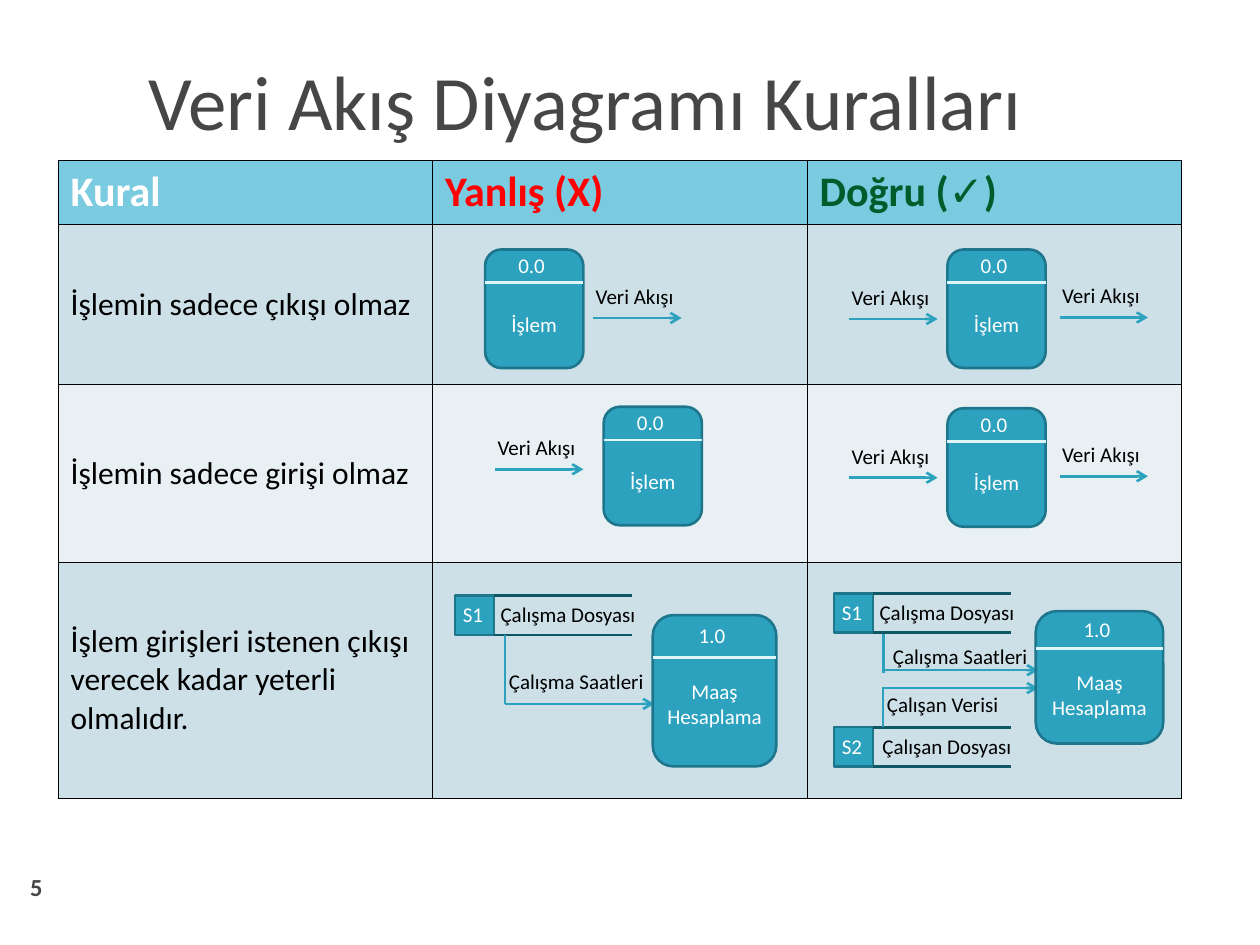
from pptx import Presentation
from pptx.dml.color import RGBColor as RGB
from pptx.enum.shapes import MSO_CONNECTOR as Conn, MSO_SHAPE as Kind
from pptx.enum.text import MSO_ANCHOR as Anchor, MSO_AUTO_SIZE as Auto, PP_ALIGN as Align
from pptx.util import Cm, Pt
from lxml.etree import SubElement as Sub
from pptx.oxml.ns import qn

# Content
TITLE, NUMBER = "Veri Akış Diyagramı Kuralları", "5"
HEADS = [
    ("white", [("Kural", "Calibri")]),
    ("red", [("Yanlış (X)", "Calibri")]),
    ("green", [("Doğru (", "Calibri"), ("✓", "Arial"), (")", "Calibri")]),
]
RULES = [
    "İşlemin sadece çıkışı olmaz",
    "İşlemin sadece girişi olmaz",
    "İşlem girişleri istenen çıkışı verecek kadar yeterli olmalıdır.",
]
FLOW, NEAR = "Veri Akışı", (-0.2, -0.82)
# Flows: left, top, length, label, label offset, label width
FLOWS = [
    (11.96, 6.41, 1.78, FLOW, NEAR, 2.08),
    (21.36, 6.4, 1.78, FLOW, NEAR, 2.08),
    (17.12, 6.43, 1.78, FLOW, NEAR, 2.08),
    (9.98, 9.46, 1.78, FLOW, NEAR, 2.08),
    (21.36, 9.6, 1.78, FLOW, NEAR, 2.08),
    (17.12, 9.63, 1.78, FLOW, NEAR, 2.08),
    (10.19, 14.19, 3, "Çalışma Saatleri", (-0.18, -0.83), 3.23),
    (17.81, 13.51, 3.12, "Çalışma Saatleri", (-0.06, -0.66), 3.23),
    (17.81, 13.87, 3.12, "Çalışan Verisi", (-0.18, -0.05), 2.77),
]
# Stores: left, top, code, name
STORES = [
    (9.17, 12.01, "S1", "Çalışma Dosyası"),
    (16.81, 11.96, "S1", "Çalışma Dosyası"),
    (16.81, 14.66, "S2", "Çalışan Dosyası"),
]
# Stems from a store to its flow: left, start, end
STEMS = [(10.18, 12.8, 14.2), (17.81, 12.78, 13.56), (17.8, 14.66, 13.85)]
# Processes: left, top, width, height, band, number, label lines
STEPS = [
    (9.78, 5.03, 1.98, 2.39, 0.67, "0.0", ["İşlem"]),
    (19.1, 5.03, 1.98, 2.39, 0.67, "0.0", ["İşlem"]),
    (12.17, 8.2, 1.98, 2.39, 0.67, "0.0", ["İşlem"]),
    (19.1, 8.23, 1.98, 2.39, 0.67, "0.0", ["İşlem"]),
    (13.16, 12.4, 2.49, 3.05, 0.86, "1.0", ["Maaş", "Hesaplama"]),
    (20.88, 12.32, 2.57, 2.67, 0.75, "1.0", ["Maaş", "Hesaplama"]),
]

# Look
HEX = {
    "white": "FFFFFF", "black": "000000", "gray": "464646", "red": "FF0000",
    "green": "005C2A", "head": "7ACBE0", "odd": "CDE0E8", "even": "E8F0F4",
    "teal": "2DA2BF", "edge": "1E768C", "dark": "105766", "pale": "DEF5FA",
}
SMALL = {"size": Pt(12), "name": "Calibri", "bold": False}
BODY = {**SMALL, "size": Pt(18)}
BOLD = {**SMALL, "size": Pt(24), "bold": True}
BIG = {**SMALL, "size": Pt(44)}
PAGE = {**SMALL, "size": Pt(14), "bold": True}


def tint(name):
    return RGB.from_string(HEX[name])


def style(font, fmt, hue):
    for key, val in fmt.items():
        setattr(font, key, val)
    font.color.rgb = tint(hue)


def text(x, y, w, h, rows, hue, fmt=SMALL, align=Align.LEFT, wrap=True, grow=True):
    box = slide.shapes.add_textbox(Cm(x), Cm(y), Cm(w), Cm(h))
    frame = box.text_frame
    look = {
        "word_wrap": wrap,
        "auto_size": Auto.SHAPE_TO_FIT_TEXT if grow else Auto.NONE,
        "vertical_anchor": Anchor.TOP if grow else Anchor.MIDDLE,
    }
    for key, val in look.items():
        setattr(frame, key, val)
    for i, row in enumerate(rows):
        par = frame.add_paragraph() if i else frame.paragraphs[0]
        par.alignment = align
        run = par.add_run()
        run.text = row
        style(run.font, fmt, hue)


def line(x1, y1, x2, y2, hue, arrow=False):
    link = slide.shapes.add_connector(Conn.STRAIGHT, Cm(x1), Cm(y1), Cm(x2), Cm(y2))
    link.line.width = Pt(1.5)
    link.line.color.rgb = tint(hue)
    if arrow:
        Sub(link.line._get_or_add_ln(), qn("a:tailEnd"), type="arrow")
    Sub(link._element.spPr, qn("a:effectLst"))


def block(kind, x, y, w, h):
    box = slide.shapes.add_shape(kind, Cm(x), Cm(y), Cm(w), Cm(h))
    box.shadow.inherit = False
    box.fill.solid()
    box.fill.fore_color.rgb = tint("teal")
    box.line.color.rgb = tint("edge")
    box.line.width = Pt(1.5)


def paint(cell, hue):
    props = cell._tc.get_or_add_tcPr()
    for side in "LRTB":
        edge = Sub(props, qn("a:ln" + side), w=str(Pt(0.45)))
        Sub(Sub(edge, qn("a:solidFill")), qn("a:srgbClr"), val=HEX["black"])
    cell.fill.solid()
    cell.fill.fore_color.rgb = tint(hue)


def fill(cell, parts, fmt, hue):
    for word, face in parts:
        run = cell.text_frame.paragraphs[0].add_run()
        run.text = word
        style(run.font, {**fmt, "name": face}, hue)


deck = Presentation()
deck.slide_width, deck.slide_height = Cm(25.4), Cm(19.05)
slide = deck.slides.add_slide(deck.slide_layouts[6])

# Page number and title
text(0, 17.35, 1.47, 1.07, [NUMBER], "gray", PAGE, Align.CENTER, grow=False)
text(2.74, 0.64, 22.66, 2.74, [TITLE], "gray", BIG, grow=False)

# Table of rules
highs = [1.28, 3.24, 3.57, 4.76]
table = slide.shapes.add_table(
    4, 3, Cm(1.17), Cm(3.23), Cm(22.65), Cm(sum(highs))).table
for col in table.columns:
    col.width = Cm(7.55)
for i, high in enumerate(highs):
    table.rows[i].height = Cm(high)
    for cell in table.rows[i].cells:
        paint(cell, "head" if i == 0 else "odd" if i % 2 else "even")
for i, (hue, parts) in enumerate(HEADS):
    fill(table.cell(0, i), parts, BOLD, hue)
for i, rule in enumerate(RULES, 1):
    cell = table.cell(i, 0)
    cell.vertical_anchor = Anchor.MIDDLE
    fill(cell, [(rule, "Calibri")], BODY, "black")

# Data flows
for x, y, size, label, (dx, dy), wide in FLOWS:
    line(x, y, x + size, y, "teal", True)
    text(x + dx, y + dy, wide, 0.76, [label], "black", wrap=False)

# Data stores
side = 0.79
for x, y, code, name in STORES:
    block(Kind.FLOWCHART_PROCESS, x, y, side, side)
    for level in (y, y + side):
        line(x + side, level, x + side + 2.78, level, "dark")
    text(x - 0.09, y, 1.27, 0.76, [code], "white")
    text(x + 0.26, y, 4.04, 0.76, [name], "black", align=Align.CENTER)
for x, start, end in STEMS:
    line(x, start, x, end, "teal")

# Processes
for x, y, w, h, band, code, rows in STEPS:
    block(Kind.FLOWCHART_ALTERNATE_PROCESS, x, y, w, h)
    line(x, y + band, x + w, y + band, "pale")
    text(x + w / 2 - 0.57, y + band / 2 - 0.4, 1.04, 0.76, [code], "white", wrap=False)
    drop = 0.6 - 0.15 * len(rows)
    text(x, y + band + drop, w, 0.25 + 0.51 * len(rows), rows, "white", align=Align.CENTER)

deck.save("out.pptx")
